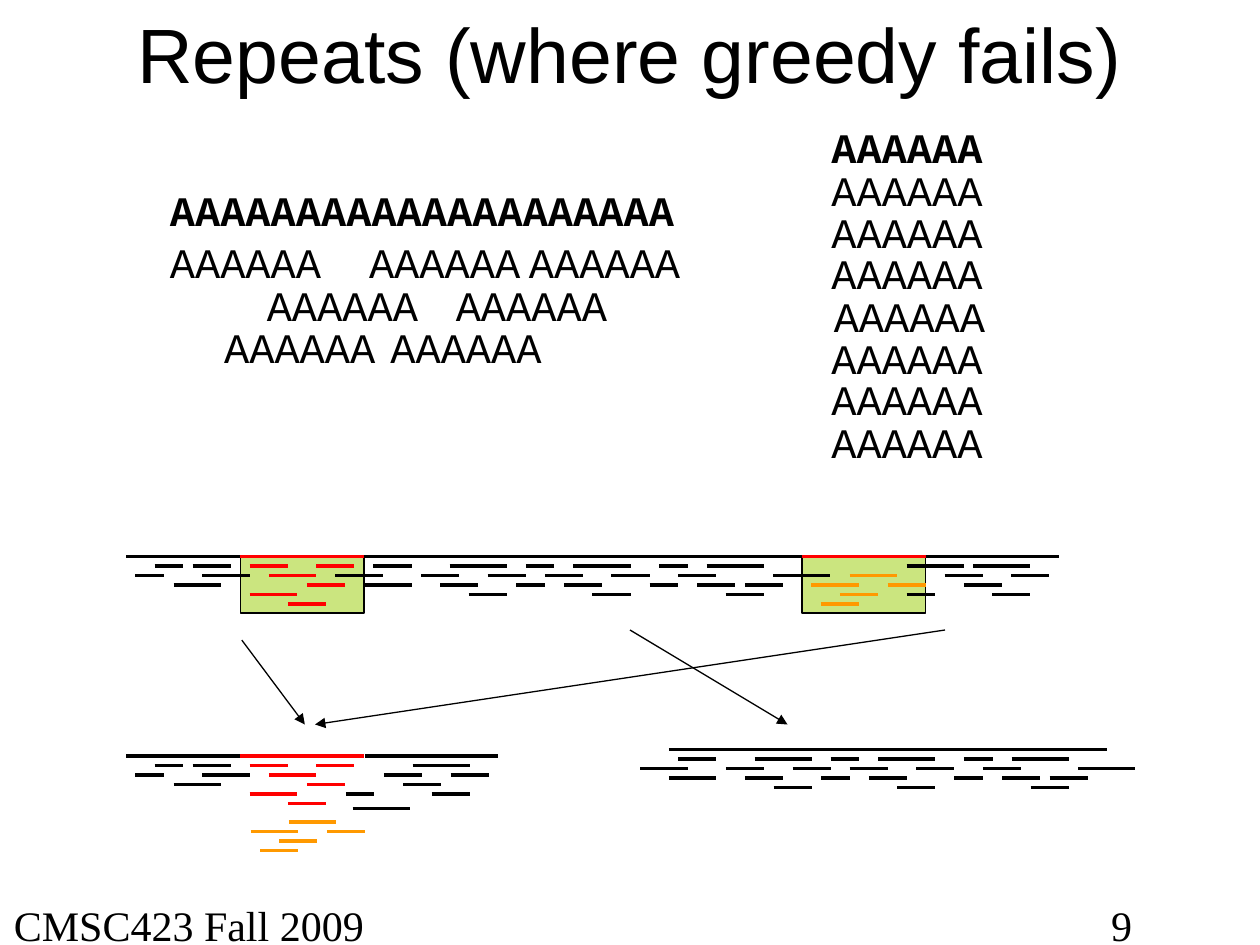
"""Build the slide on repeats, where greedy assembly fails."""
from lxml import etree
from pptx import Presentation
from pptx.dml.color import RGBColor
from pptx.enum.shapes import MSO_CONNECTOR, MSO_SHAPE
from pptx.enum.text import MSO_ANCHOR, MSO_AUTO_SIZE, PP_ALIGN
from pptx.oxml.ns import qn
from pptx.util import Pt

STRAIGHT, RECTANGLE = MSO_CONNECTOR.STRAIGHT, MSO_SHAPE.RECTANGLE
TOP, MIDDLE = MSO_ANCHOR.TOP, MSO_ANCHOR.MIDDLE
LEFT, CENTER = PP_ALIGN.LEFT, PP_ALIGN.CENTER
FIT_SHAPE, NO_FIT = MSO_AUTO_SIZE.SHAPE_TO_FIT_TEXT, MSO_AUTO_SIZE.NONE
BLACK, RED, ORANGE, GREEN = "000000", "FF0000", "FF9900", "99CC00"
UNIT = 5.44

CONSENSUS = "A" * 20
READ = "A" * 6
TILED_READS = [(90, 131.8), (203.8, 131.8), (295.2, 131.8),
               (145.4, 156.2), (253.4, 156.2), (121, 180), (216, 180)]
STACK_LEFTS = [468, 468, 468, 468, 469.4, 468, 468, 468]
STACK_TOP, STACK_STEP = 66.2, 24

# Reads are (row, start, length), counted in units from a layout's origin.
LEFT_READS = [(2, 8, 5), (1, 7, 4), (3, 5, 5), (2, 1, 3), (1, 3, 3)]
FIRST_REPEAT = [(1, 13, 4), (2, 15, 5), (1, 20, 4), (4, 13, 5), (3, 19, 4), (5, 17, 4)]
SECOND_REPEAT = [(3, 72, 5), (2, 76, 5), (3, 80, 4), (4, 75, 4), (5, 73, 4)]
CLUSTER = [(2, 0, 4), (3, 2, 4), (1, 3, 6), (2, 7, 4), (4, 5, 4)]
LAST_CLUSTER = [(2, 0, 4), (3, 2, 4), (1, 3, 6), (3, 7, 4), (4, 5, 4)]
LINKS = [(3, 41, 3), (1, 42, 3), (3, 55, 3), (1, 56, 3)]
MIDDLE_ENDS = [(2, 22, 5), (3, 25, 5), (1, 26, 4), (2, 68, 6)]
RIGHT_ENDS = [(1, 82, 6), (4, 82, 3)]
COLLAPSED_ENDS = [(5.5, 23.8, 6), (4, 23.1, 3)]


def shifted(reads, start):
    """Move reads along the genome."""
    return [(row, start + offset, length) for row, offset, length in reads]


MIDDLE_READS = (MIDDLE_ENDS + shifted(CLUSTER, 31) + shifted(CLUSTER, 44)
                + shifted(LAST_CLUSTER, 58) + LINKS)

# Each layout is an origin and a list of (colour, reads).
GENOME = ((72, 318), [
    (BLACK, [(0, 0, 12), (0, 25, 46), (0, 84, 14)]),
    (RED, [(0, 12, 13), (0, 71, 13)]),
    (BLACK, LEFT_READS), (RED, FIRST_REPEAT),
    (BLACK, MIDDLE_READS + RIGHT_ENDS + shifted(CLUSTER, 86)),
    (ORANGE, SECOND_REPEAT)])
COLLAPSED = ((72, 432), [
    (BLACK, [(0, 0, 12), (0, 25.1, 14)]), (RED, [(0, 12, 13)]),
    (BLACK, LEFT_READS + COLLAPSED_ENDS + shifted(CLUSTER, 27.1)),
    (RED, FIRST_REPEAT)])
MISPLACED = ((-248.4, 458.8), [(ORANGE, SECOND_REPEAT)])
EXCLUDED = ((246.2, 428.2), [(BLACK, [(0, 25, 46)] + MIDDLE_READS)])
REPEAT_STARTS, REPEAT_LENGTH, REPEAT_HEIGHT = [71, 12], 13, 32.4
ARROWS = [(540, 360, 180, 414), (360, 360, 450, 414), (138.2, 365.8, 174.2, 414)]


def color(value):
    """Turn a hex string into a colour."""
    return RGBColor.from_string(value)


def add_text(slide, text, left, top, width, height, size=24, font="Courier New",
             bold=False, align=LEFT, anchor=TOP, wrap=False, inset=(7.2, 3.6), fit=FIT_SHAPE):
    """Add one line of text in its own box."""
    frame = slide.shapes.add_textbox(Pt(left), Pt(top), Pt(width), Pt(height)).text_frame
    frame.word_wrap, frame.auto_size, frame.vertical_anchor = wrap, fit, anchor
    frame.margin_left = frame.margin_right = Pt(inset[0])
    frame.margin_top = frame.margin_bottom = Pt(inset[1])
    paragraph = frame.paragraphs[0]
    paragraph.alignment = align
    run = paragraph.add_run()
    run.text = text
    run.font.size, run.font.name, run.font.bold = Pt(size), font, bold
    run.font.color.rgb = color(BLACK)


def add_line(slide, start_x, start_y, end_x, end_y, line_color=BLACK, width=2, arrow=False):
    """Add a straight line, with an arrowhead at its end on request."""
    connector = slide.shapes.add_connector(
        STRAIGHT, Pt(start_x), Pt(start_y), Pt(end_x), Pt(end_y))
    connector.line.color.rgb = color(line_color)
    connector.line.width = Pt(width)
    if arrow:
        etree.SubElement(connector.line._get_or_add_ln(), qn("a:tailEnd"), type="triangle")
    etree.SubElement(connector._element.spPr, qn("a:effectLst"))


def add_repeat(slide, left, top):
    """Add the half-transparent box that marks a repeat."""
    shape = slide.shapes.add_shape(
        RECTANGLE, Pt(left), Pt(top), Pt(REPEAT_LENGTH * UNIT), Pt(REPEAT_HEIGHT))
    shape.shadow.inherit = False
    shape.fill.solid()
    shape.fill.fore_color.rgb = color(GREEN)
    fill = shape._element.spPr.find(qn("a:solidFill"))
    etree.SubElement(fill[0], qn("a:alpha"), val="50000")
    shape.line.color.rgb = color(BLACK)
    shape.line.width = Pt(0.75)


def add_layout(slide, origin, layers):
    """Draw every read of a layout on the unit grid."""
    left, top = origin
    for line_color, reads in layers:
        for row, start, length in reads:
            x, y = left + start * UNIT, top + row * UNIT
            add_line(slide, x, y, x + length * UNIT, y, line_color)


def main():
    """Assemble and save the slide."""
    presentation = Presentation()
    presentation.slide_width, presentation.slide_height = Pt(720), Pt(540)
    slide = presentation.slides.add_slide(presentation.slide_layouts[6])

    add_text(slide, "Repeats (where greedy fails)", 0, 1.4, 720, 56.9, size=44,
             font="Arial", align=CENTER, anchor=MIDDLE, wrap=True)
    add_text(slide, CONSENSUS, 90, 102.2, 302.4, 36, bold=True)
    for left, top in TILED_READS:
        add_text(slide, READ, left, top, 100.8, 36)
    for index, left in enumerate(STACK_LEFTS):
        add_text(slide, READ, left, STACK_TOP + index * STACK_STEP, 100.8, 36, bold=index == 0)

    (genome_left, genome_top), _ = GENOME
    for start in REPEAT_STARTS:
        add_repeat(slide, genome_left + start * UNIT, genome_top)
    for origin, layers in (GENOME, COLLAPSED, MISPLACED, EXCLUDED):
        add_layout(slide, origin, layers)
    for ends in ARROWS:
        add_line(slide, *ends, width=0.75, arrow=True)

    for text, left, width in (("CMSC423 Fall 2009", 7.9, 627.1), ("9", 635, 77.8)):
        add_text(slide, text, left, 514.1, width, 25.9, font="Times New Roman",
                 wrap=True, inset=(0, 0), fit=NO_FIT)
    presentation.save("out.pptx")


if __name__ == "__main__":
    main()
